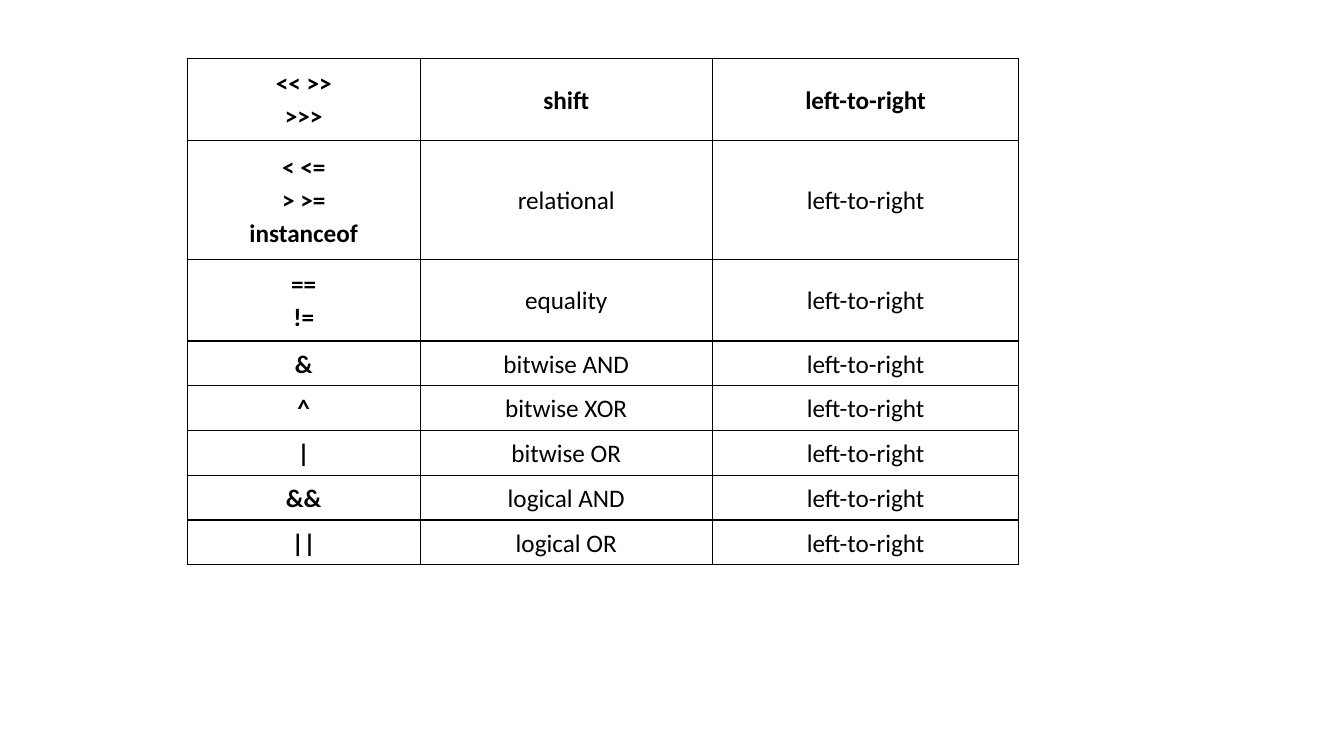
from lxml import etree
from pptx import Presentation
from pptx.dml.color import RGBColor
from pptx.enum import text
from pptx.oxml import ns
from pptx.util import Pt

BLACK = RGBColor(0, 0, 0)
WHITE = RGBColor(255, 255, 255)

COLUMN_WIDTHS = [166.3, 208.8, 218.9]
LINE_HEIGHTS = {1: 32, 2: 58.4, 3: 85}  # row height by number of lines
OPERATORS = [
    ("<< >>\n>>>", "shift"),
    ("< <=\n> >=\ninstanceof", "relational"),
    ("==\n!=", "equality"),
    ("&", "bitwise AND"),
    ("^", "bitwise XOR"),
    ("|", "bitwise OR"),
    ("&&", "logical AND"),
    ("||", "logical OR"),
]
CELL_FORMAT = {
    "margin_left": Pt(3), "margin_right": Pt(3),
    "margin_top": Pt(3), "margin_bottom": Pt(3),
    "vertical_anchor": text.MSO_ANCHOR.MIDDLE,
}
PARA_FORMAT = {
    "alignment": text.PP_ALIGN.CENTER,
    "line_spacing": 1.07, "space_after": Pt(8),
}
FONT_FORMAT = {"name": "Calibri", "size": Pt(18)}


def apply_format(target, values):
    for name, value in values.items():
        setattr(target, name, value)


def add_borders(cell):
    properties = cell._tc.get_or_add_tcPr()
    for position, side in enumerate(("lnL", "lnR", "lnT", "lnB")):
        line = etree.Element(ns.qn("a:" + side), w=str(Pt(1)))
        fill = etree.SubElement(line, ns.qn("a:solidFill"))
        etree.SubElement(fill, ns.qn("a:srgbClr"), val=str(BLACK))
        properties.insert(position, line)


# Slide
deck = Presentation()
deck.slide_width, deck.slide_height = Pt(960), Pt(540)
page = deck.slides.add_slide(deck.slide_layouts[6])

# Table grid
heights = [LINE_HEIGHTS[len(symbols.splitlines())] for symbols, _ in OPERATORS]
table = page.shapes.add_table(
    len(OPERATORS), len(COLUMN_WIDTHS), Pt(133.8), Pt(41.8),
    Pt(sum(COLUMN_WIDTHS)), Pt(sum(heights))).table
for column, width in zip(table.columns, COLUMN_WIDTHS):
    column.width = Pt(width)
for row, height in zip(table.rows, heights):
    row.height = Pt(height)

# Operator, meaning and associativity in each row
for row_index, operator in enumerate(OPERATORS):
    for column_index, label in enumerate((*operator, "left-to-right")):
        cell = table.cell(row_index, column_index)
        apply_format(cell, CELL_FORMAT)
        cell.fill.solid()
        cell.fill.fore_color.rgb = WHITE
        add_borders(cell)
        para = cell.text_frame.paragraphs[0]
        para.text = label.replace("\n", "\v")
        apply_format(para, PARA_FORMAT)
        for span in para.runs:
            apply_format(span.font, FONT_FORMAT)
            span.font.bold = row_index == 0 or column_index == 0
            span.font.color.rgb = BLACK

deck.save("out.pptx")
